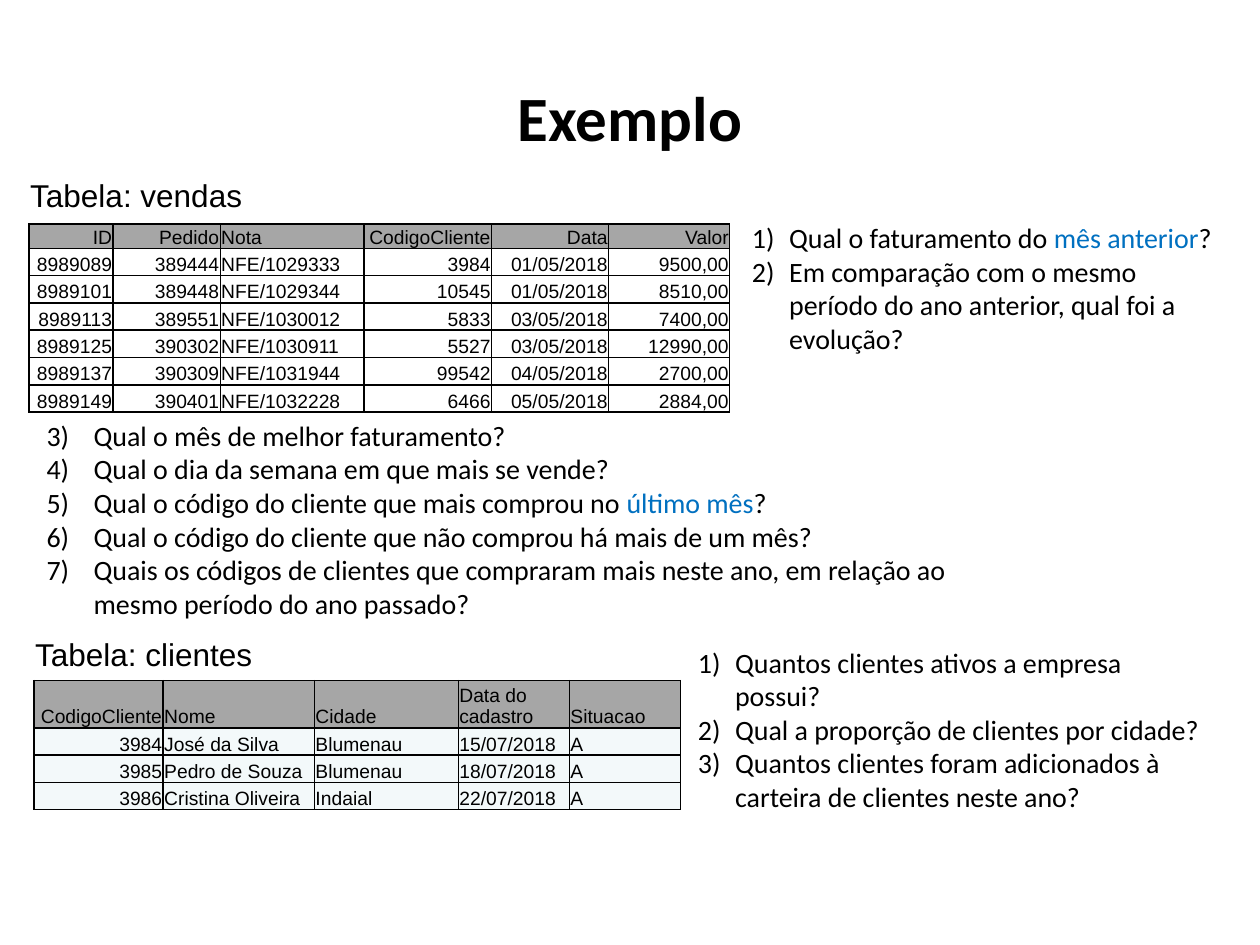
from dataclasses import dataclass

from lxml.etree import SubElement
from pptx import Presentation
from pptx.dml.color import RGBColor
from pptx.enum.text import MSO_ANCHOR as Anchor, MSO_AUTO_SIZE as AutoSize, PP_ALIGN as Align
from pptx.oxml.ns import qn
from pptx.util import Cm, Pt


@dataclass(frozen=True)
class Theme:
    ink: str = "000000"
    accent: str = "0070C0"
    header: str = "A6A6A6"
    tint: str = "F3F9FA"
    title_font: str = "Calibri"
    table_font: str = "Arial"
    title_size: int = 36
    caption_size: int = 18
    question_size: int = 16
    cell_size: int = 11
    border: int = 1


THEME = Theme()

SALES = [
    ("ID", "Pedido", "Nota", "CodigoCliente", "Data", "Valor"),
    ("8989089", "389444", "NFE/1029333", "3984", "01/05/2018", "9500,00"),
    ("8989101", "389448", "NFE/1029344", "10545", "01/05/2018", "8510,00"),
    ("8989113", "389551", "NFE/1030012", "5833", "03/05/2018", "7400,00"),
    ("8989125", "390302", "NFE/1030911", "5527", "03/05/2018", "12990,00"),
    ("8989137", "390309", "NFE/1031944", "99542", "04/05/2018", "2700,00"),
    ("8989149", "390401", "NFE/1032228", "6466", "05/05/2018", "2884,00"),
]
CUSTOMERS = [
    ("CodigoCliente", "Nome", "Cidade", "Data do cadastro", "Situacao"),
    ("3984", "José da Silva", "Blumenau", "15/07/2018", "A"),
    ("3985", "Pedro de Souza", "Blumenau", "18/07/2018", "A"),
    ("3986", "Cristina Oliveira", "Indaial", "22/07/2018", "A"),
]

# Each question is a list of (text, colour) runs.
SALES_QUESTIONS = [
    [("Qual o faturamento do ", THEME.ink), ("mês anterior", THEME.accent), ("?", THEME.ink)],
    [("Em comparação com o mesmo período do ano anterior, qual foi a evolução?", THEME.ink)],
]
MORE_SALES_QUESTIONS = [
    [("Qual o mês de melhor faturamento?", THEME.ink)],
    [("Qual o dia da semana em que mais se vende?", THEME.ink)],
    [("Qual o código do cliente que mais comprou no ", THEME.ink),
     ("último mês", THEME.accent), ("?", THEME.ink)],
    [("Qual o código do cliente que não comprou há mais de um mês?", THEME.ink)],
    [("Quais os códigos de clientes que compraram mais neste ano, "
      "em relação ao mesmo período do ano passado?", THEME.ink)],
]
CUSTOMER_QUESTIONS = [
    [("Quantos clientes ativos a empresa possui?", THEME.ink)],
    [("Qual a proporção de clientes por cidade?", THEME.ink)],
    [("Quantos clientes foram adicionados à carteira de clientes neste ano?", THEME.ink)],
]


def set_attrs(obj, values):
    for name, value in values.items():
        setattr(obj, name, value)


def add_run(p, text, font, size, color=THEME.ink, bold=False):
    r = p.add_run()
    r.text = text
    set_attrs(r.font, {"name": font, "size": Pt(size), "bold": bold})
    r.font.color.rgb = RGBColor.from_string(color)


def add_text_frame(slide, box, **settings):
    """Add a wrapping text box; box is left, top, width, height in cm."""
    tf = slide.shapes.add_textbox(*map(Cm, box)).text_frame
    set_attrs(tf, {"word_wrap": True, **settings})
    return tf


def add_title(slide, text, box):
    tf = add_text_frame(slide, box, vertical_anchor=Anchor.MIDDLE)
    p = tf.paragraphs[0]
    p.alignment = Align.CENTER
    add_run(p, text, THEME.title_font, THEME.title_size, bold=True)


def add_caption(slide, text, box):
    tf = add_text_frame(slide, box, auto_size=AutoSize.SHAPE_TO_FIT_TEXT)
    add_run(tf.paragraphs[0], text, THEME.table_font, THEME.caption_size)


def number_paragraph(p, indent, start):
    pPr = p._p.get_or_add_pPr()
    pPr.set("marL", str(Cm(indent)))
    pPr.set("indent", str(-Cm(indent)))
    number = SubElement(pPr, qn("a:buAutoNum"), type="arabicParenR")
    if start > 1:
        number.set("startAt", str(start))


def add_questions(slide, questions, box, indent, start=1):
    tf = add_text_frame(slide, box, auto_size=AutoSize.SHAPE_TO_FIT_TEXT)
    for i, runs in enumerate(questions):
        p = tf.add_paragraph() if i else tf.paragraphs[0]
        number_paragraph(p, indent, start)
        for text, color in runs:
            add_run(p, text, THEME.title_font, THEME.question_size, color)


def add_borders(cell):
    tcPr = cell._tc.get_or_add_tcPr()
    for side in ("lnL", "lnR", "lnT", "lnB"):
        ln = SubElement(tcPr, qn(f"a:{side}"), w=str(Pt(THEME.border)))
        fill = SubElement(ln, qn("a:solidFill"))
        SubElement(fill, qn("a:srgbClr"), val=THEME.ink)


def fill_cell(cell, text, align, color):
    set_attrs(cell, {
        "margin_left": Cm(0.02), "margin_right": Cm(0.02),
        "margin_top": Cm(0.02), "margin_bottom": 0,
        "vertical_anchor": Anchor.BOTTOM,
    })
    add_borders(cell)
    if color:
        cell.fill.solid()
        cell.fill.fore_color.rgb = RGBColor.from_string(color)
    else:
        cell.fill.background()
    p = cell.text_frame.paragraphs[0]
    p.alignment = align
    add_run(p, text, THEME.table_font, THEME.cell_size)


def add_data_table(slide, rows, origin, widths, header_height, left_columns, body_color=None):
    """Add a bordered table; columns outside left_columns are right-aligned."""
    heights = [header_height] + [0.55] * (len(rows) - 1)
    box = (*origin, sum(widths), sum(heights))
    table = slide.shapes.add_table(len(rows), len(widths), *map(Cm, box)).table
    set_attrs(table, {"first_row": False, "horz_banding": False})
    for column, width in zip(table.columns, widths):
        column.width = Cm(width)
    for i, (row, height) in enumerate(zip(table.rows, heights)):
        row.height = Cm(height)
        for j, cell in enumerate(row.cells):
            align = Align.LEFT if j in left_columns else Align.RIGHT
            fill_cell(cell, rows[i][j], align, body_color if i else THEME.header)


def main():
    prs = Presentation()
    set_attrs(prs, {"slide_width": Cm(25.4), "slide_height": Cm(19.05)})
    s = prs.slides.add_slide(prs.slide_layouts[6])

    add_title(s, "Exemplo", (1.27, 0.76, 22.86, 3.18))
    add_data_table(s, SALES, (0.58, 4.52), (1.7, 2.16, 2.9, 2.57, 2.36, 2.44),
                   header_height=0.36, left_columns={2})
    add_caption(s, "Tabela: vendas", (0.36, 3.43, 7.39, 1.02))
    add_data_table(s, CUSTOMERS, (0.69, 13.72), (2.6, 3.05, 2.9, 2.24, 2.24),
                   header_height=0.95, left_columns={1, 2, 3, 4}, body_color=THEME.tint)
    add_caption(s, "Tabela: clientes", (0.46, 12.67, 7.39, 1.02))
    add_questions(s, SALES_QUESTIONS, (14.91, 4.32, 9.8, 3), indent=0.75)
    add_questions(s, MORE_SALES_QUESTIONS, (0.69, 8.31, 20.02, 5.74), indent=0.95, start=3)
    add_questions(s, CUSTOMER_QUESTIONS, (13.82, 12.88, 10.87, 5.05), indent=0.75)

    prs.save("out.pptx")


if __name__ == "__main__":
    main()
